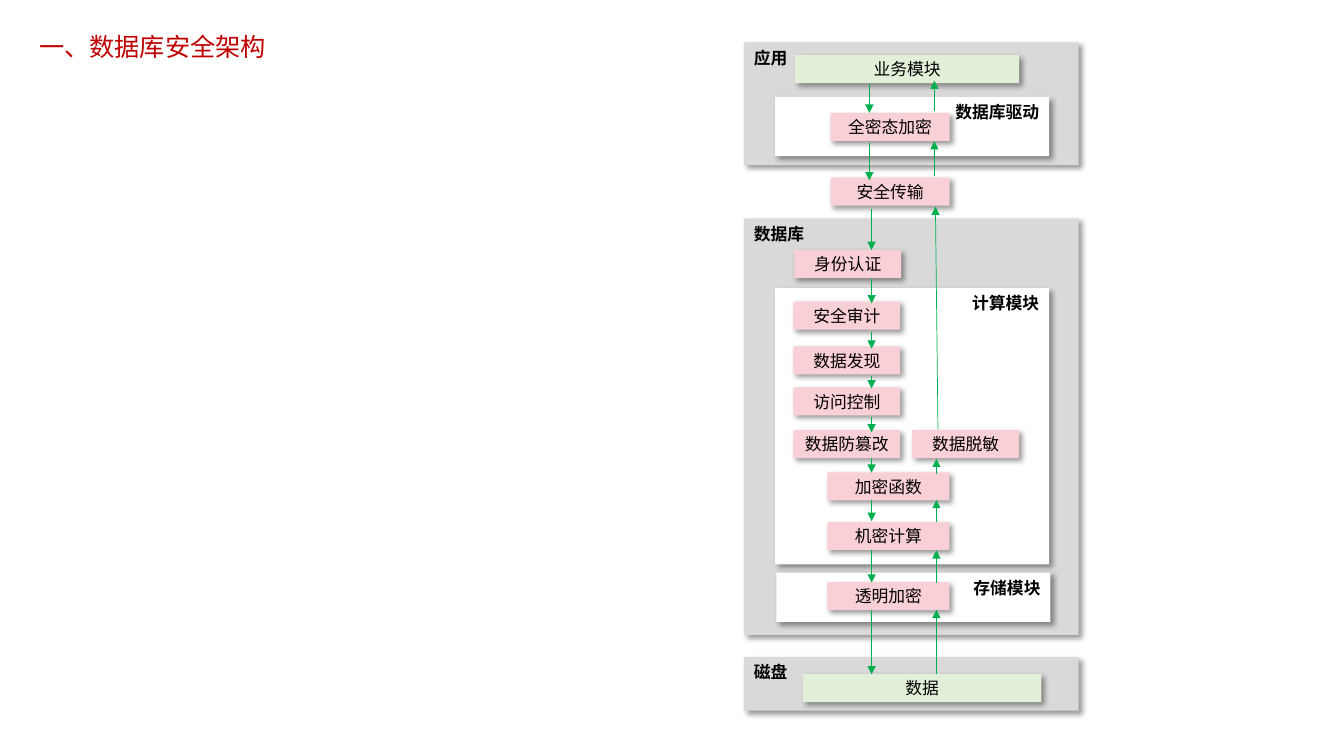
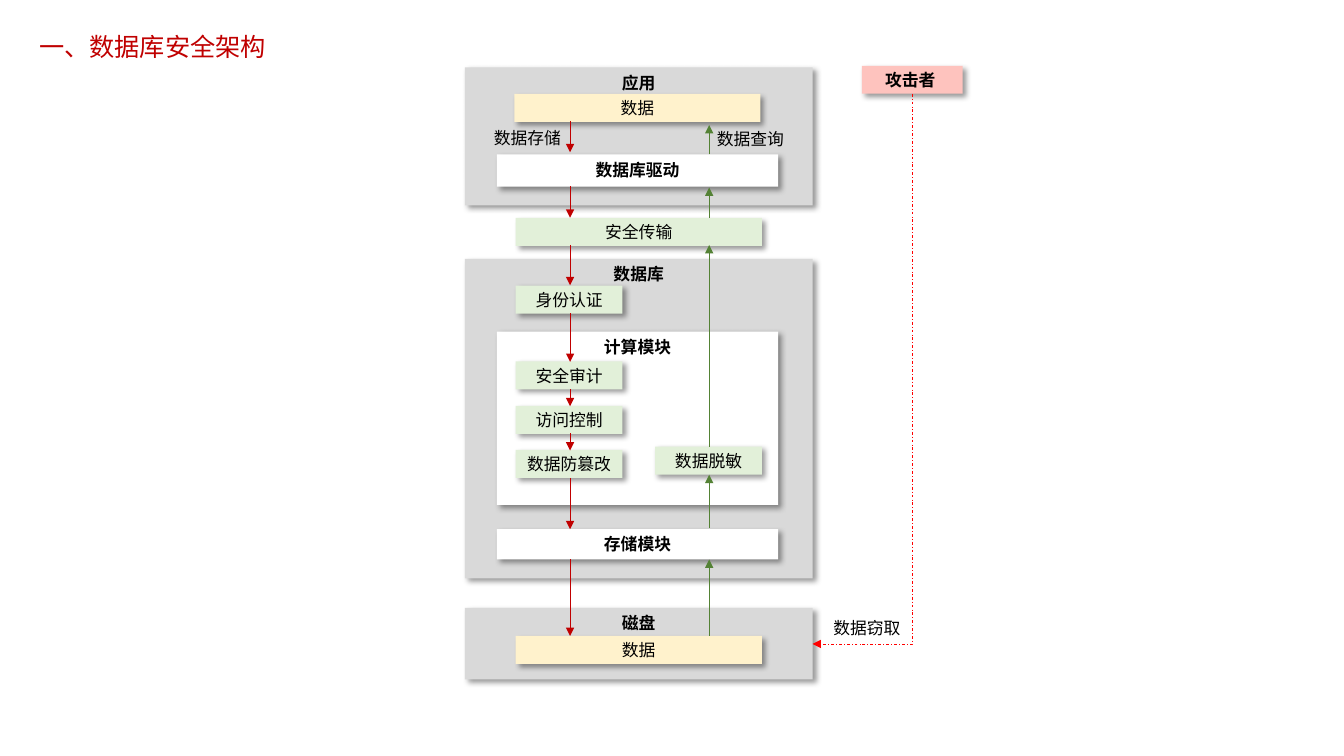
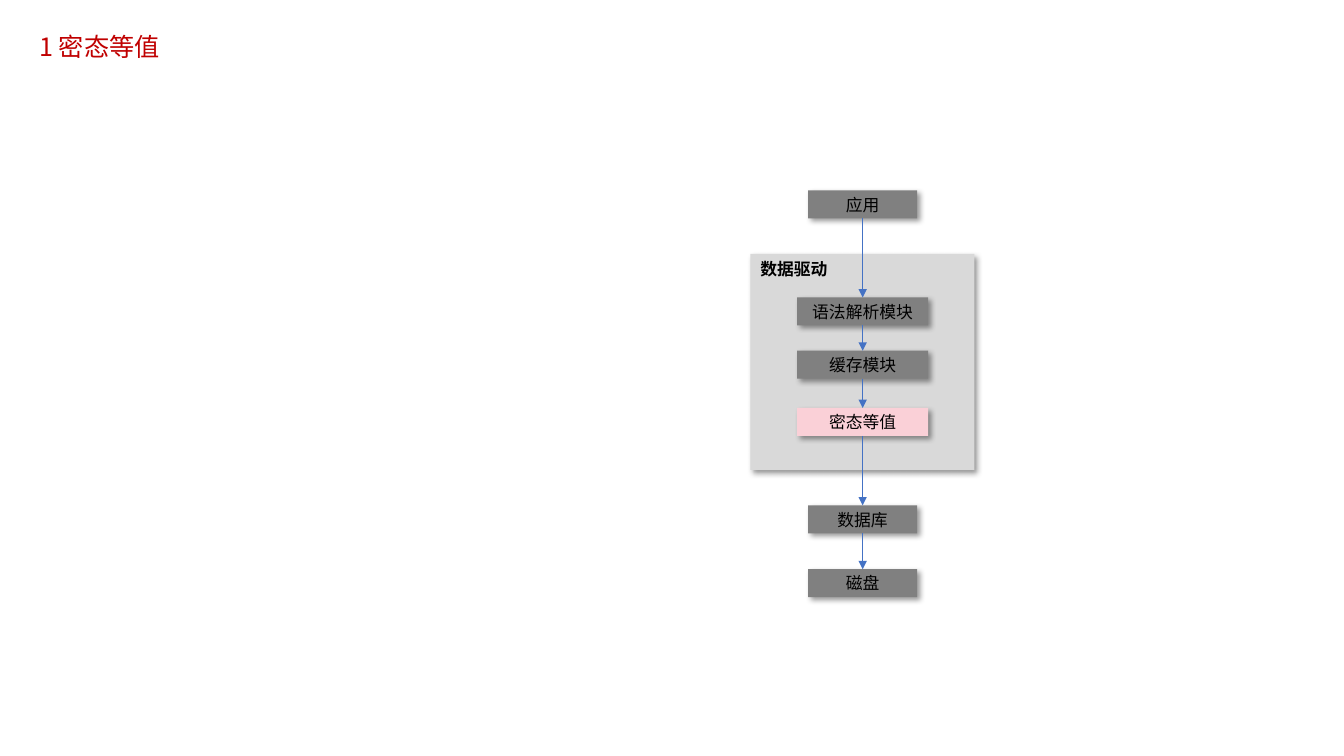
from itertools import pairwise

from lxml import etree
from pptx import Presentation
from pptx.dml.color import RGBColor
from pptx.enum import dml, shapes, text
from pptx.oxml import ns
from pptx.util import Pt

FONT = "Noto Sans CJK SC"
COLOURS = {
    "title": "C00000", "ink": "000000", "group": "D9D9D9", "module": "FFFFFF",
    "pink": "FAD0D7", "green": "E2F0D9", "yellow": "FFF2CC", "gray": "808080",
    "attacker": "FEC3BE", "flow": "00B050", "store": "C00000",
    "query": "548235", "theft": "FF0000", "call": "4472C4",
}
ALIGN = {"l": text.PP_ALIGN.LEFT, "c": text.PP_ALIGN.CENTER, "r": text.PP_ALIGN.RIGHT}
STEP_H = 20
STEP_W = 76.3
ARCHITECTURE = "一、数据库安全架构"


def rgb(colour):
    return RGBColor.from_string(COLOURS[colour])


def add_xml(parent, tag, **attributes):
    return etree.SubElement(parent, ns.qn(tag), attributes)


def write(frame, words, size=12, colour="ink", bold=False, align="l"):
    frame.text = words
    paragraph = frame.paragraphs[0]
    paragraph.alignment = ALIGN[align]
    for run in paragraph.runs:
        run.font.size = Pt(size)
        run.font.bold = bold
        run.font.color.rgb = rgb(colour)
        run.font.name = FONT
        add_xml(run.font._element, "a:ea", typeface=FONT)


def add_label(slide, words, left, top, width, height=21.6, size=12, colour="ink"):
    label = slide.shapes.add_textbox(Pt(left), Pt(top), Pt(width), Pt(height))
    label.text_frame.word_wrap = True
    label.text_frame.auto_size = text.MSO_AUTO_SIZE.SHAPE_TO_FIT_TEXT
    write(label.text_frame, words, size, colour)


def add_panel(slide, words, left, top, width, height, fill, align="c",
              bold=True, anchor=text.MSO_ANCHOR.TOP):
    panel = slide.shapes.add_shape(
        shapes.MSO_SHAPE.RECTANGLE, Pt(left), Pt(top), Pt(width), Pt(height))
    panel.fill.solid()
    panel.fill.fore_color.rgb = rgb(fill)
    panel.line.fill.background()
    panel.shadow.inherit = False
    effects = panel._element.spPr.find(ns.qn("a:effectLst"))
    shadow = add_xml(effects, "a:outerShdw", blurRad=str(Pt(4)), dist=str(Pt(3)),
                     dir="2700000", algn="tl", rotWithShape="0")
    shade = add_xml(shadow, "a:srgbClr", val=COLOURS["ink"])
    add_xml(shade, "a:alpha", val="40000")
    panel.text_frame.word_wrap = True
    panel.text_frame.vertical_anchor = anchor
    write(panel.text_frame, words, bold=bold, align=align)


def add_step(slide, words, left, top, width, fill, bold=False):
    add_panel(slide, words, left, top, width, STEP_H, fill,
              bold=bold, anchor=text.MSO_ANCHOR.MIDDLE)


def add_arrow(slide, start, end, colour, kind=shapes.MSO_CONNECTOR.STRAIGHT, dash=None):
    arrow = slide.shapes.add_connector(kind, *map(Pt, start + end))
    arrow.line.color.rgb = rgb(colour)
    arrow.line.width = Pt(0.5)
    if dash:
        arrow.line.dash_style = dash
    add_xml(arrow.line._get_or_add_ln(), "a:tailEnd", type="triangle")
    add_xml(arrow._element.spPr, "a:effectLst")
    return arrow


def add_vertical_arrows(slide, x, spans, colour):
    for start, end in spans:
        add_arrow(slide, (x, start), (x, end), colour)


def add_corner_arrow(slide, start, end, colour):
    across, down = start[0] - end[0], end[1] - start[1]
    left = (start[0] + end[0] - down) / 2
    top = (start[1] + end[1] - across) / 2
    arrow = add_arrow(slide, (left, top), (left + down, top + across), colour,
                      shapes.MSO_CONNECTOR.ELBOW, dml.MSO_LINE.DASH_DOT)
    outline = arrow._element.spPr
    outline.find(ns.qn("a:xfrm")).set("rot", "5400000")
    outline.find(ns.qn("a:prstGeom")).set("prst", "bentConnector2")


def new_slide(deck, title, width=195):
    slide = deck.slides.add_slide(deck.slide_layouts[6])
    add_label(slide, title, 20.9, 18.7, width, 28.8, 18, "title")
    return slide


def build_security_layers(deck):
    slide = new_slide(deck, ARCHITECTURE)
    for words, top, height in (("数据库", 156.2, 297.4), ("应用", 30.2, 87.8),
                               ("磁盘", 469.4, 38.2)):
        add_panel(slide, words, 531.4, top, 239, height, "group", "l")
    for words, left, top, height in (("存储模块", 554.6, 409, 35.3),
                                     ("计算模块", 553.7, 205.9, 197.3),
                                     ("数据库驱动", 553.7, 69.1, 42.5)):
        add_panel(slide, words, left, top, 195.8, height, "module", "r")

    columns = (
        (593.3, 85, (("全密态加密", 80.6), ("安全传输", 126.9))),
        (567.4, STEP_W, (("身份认证", 178.6),)),
        (566.8, STEP_W, (("安全审计", 215.5), ("数据发现", 247.5),
                         ("访问控制", 276.7), ("数据防篡改", 307.3))),
        (591, 87.2, (("加密函数", 337.5), ("机密计算", 372.9), ("透明加密", 415.9))),
        (651.6, STEP_W, (("数据脱敏", 307.3),)),
    )
    for left, width, steps in columns:
        for words, top in steps:
            add_step(slide, words, left, top, width, "pink")
    add_step(slide, "数据", 573.6, 481.6, 170.3, "green")
    add_step(slide, "业务模块", 568, 39.5, 160, "green")

    add_vertical_arrows(slide, 621, ((59.8, 80.6), (102.2, 128.9)), "flow")
    add_vertical_arrows(slide, 622.6, (
        (149, 178.6), (199.4, 216.7), (236.9, 249.1), (268.6, 277.5),
        (298.1, 308.9), (326.9, 337.7), (357.1, 372.2), (393.1, 416.2),
        (435.6, 481.7)), "flow")
    add_vertical_arrows(slide, 668.9, (
        (481.7, 435.6), (416.2, 393.1), (373, 357.1), (338.4, 327.6)), "flow")
    add_arrow(slide, (670, 306.7), (668.2, 147.6), "flow")
    add_vertical_arrows(slide, 667.4, ((126, 100.8), (79.2, 57.6)), "flow")


def build_attack_route(deck):
    slide = new_slide(deck, ARCHITECTURE)
    for words, top, height in (("数据库", 185, 228.2), ("应用", 48.2, 98.6),
                               ("磁盘", 434.2, 51.1)):
        add_panel(slide, words, 332, top, 248.4, height, "group")
    for words, top, height in (("存储模块", 378, 21.6), ("计算模块", 236.9, 123.8),
                               ("数据库驱动", 110.3, 23)):
        add_panel(slide, words, 355, top, 200.8, height, "module")

    for words, top in (("身份认证", 204), ("安全审计", 258.2),
                       ("访问控制", 289.9), ("数据防篡改", 321.4)):
        add_step(slide, words, 368.4, top, STEP_W, "green")
    add_step(slide, "数据脱敏", 468, 319, STEP_W, "green")
    add_step(slide, "安全传输", 368.4, 155.6, 175.8, "green")
    add_step(slide, "数据", 368.4, 454.3, 175.8, "yellow")
    add_step(slide, "数据", 367.4, 67, 175.8, "yellow")

    add_vertical_arrows(slide, 407.2, (
        (86.4, 108.7), (133.2, 155.5), (175, 203.8), (223.9, 258.5),
        (277.9, 290.2), (309.6, 321.8), (341.3, 378), (399.6, 454.3)), "store")
    add_vertical_arrows(slide, 506.6, (
        (454.3, 399.6), (377.3, 339.1), (319, 175), (155.5, 133.9),
        (110.2, 89.3)), "query")

    for words, left, top in (("数据存储", 345.6, 87.8), ("数据查询", 505, 88.6),
                             ("数据窃取", 588.2, 437.8)):
        add_label(slide, words, left, top, 68.4)
    add_step(slide, "攻击者 ", 615.6, 47, 72, "attacker", bold=True)
    add_corner_arrow(slide, (651.6, 67), (580.4, 460), "theft")


def build_encrypted_equality(deck):
    slide = new_slide(deck, "1 密态等值", 134)
    add_panel(slide, "数据驱动", 536, 181.4, 160, 154.2, "group", "l")
    centre = 616.2
    chain = (("应用", 136, 78, "gray"), ("语法解析模块", 212.5, 93.6, "gray"),
             ("缓存模块", 250.5, 93.6, "gray"), ("密态等值", 291.4, 93.6, "pink"),
             ("数据库", 361, 78, "gray"), ("磁盘", 406.6, 78, "gray"))
    for words, top, width, fill in chain:
        add_step(slide, words, centre - width / 2, top, width, fill)
    tops = [top for _, top, _, _ in chain]
    spans = [(above + STEP_H, below) for above, below in pairwise(tops)]
    add_vertical_arrows(slide, centre, spans, "call")


def main():
    deck = Presentation()
    deck.slide_width, deck.slide_height = Pt(960), Pt(540)
    build_security_layers(deck)
    build_attack_route(deck)
    build_encrypted_equality(deck)
    deck.save("out.pptx")


if __name__ == "__main__":
    main()
